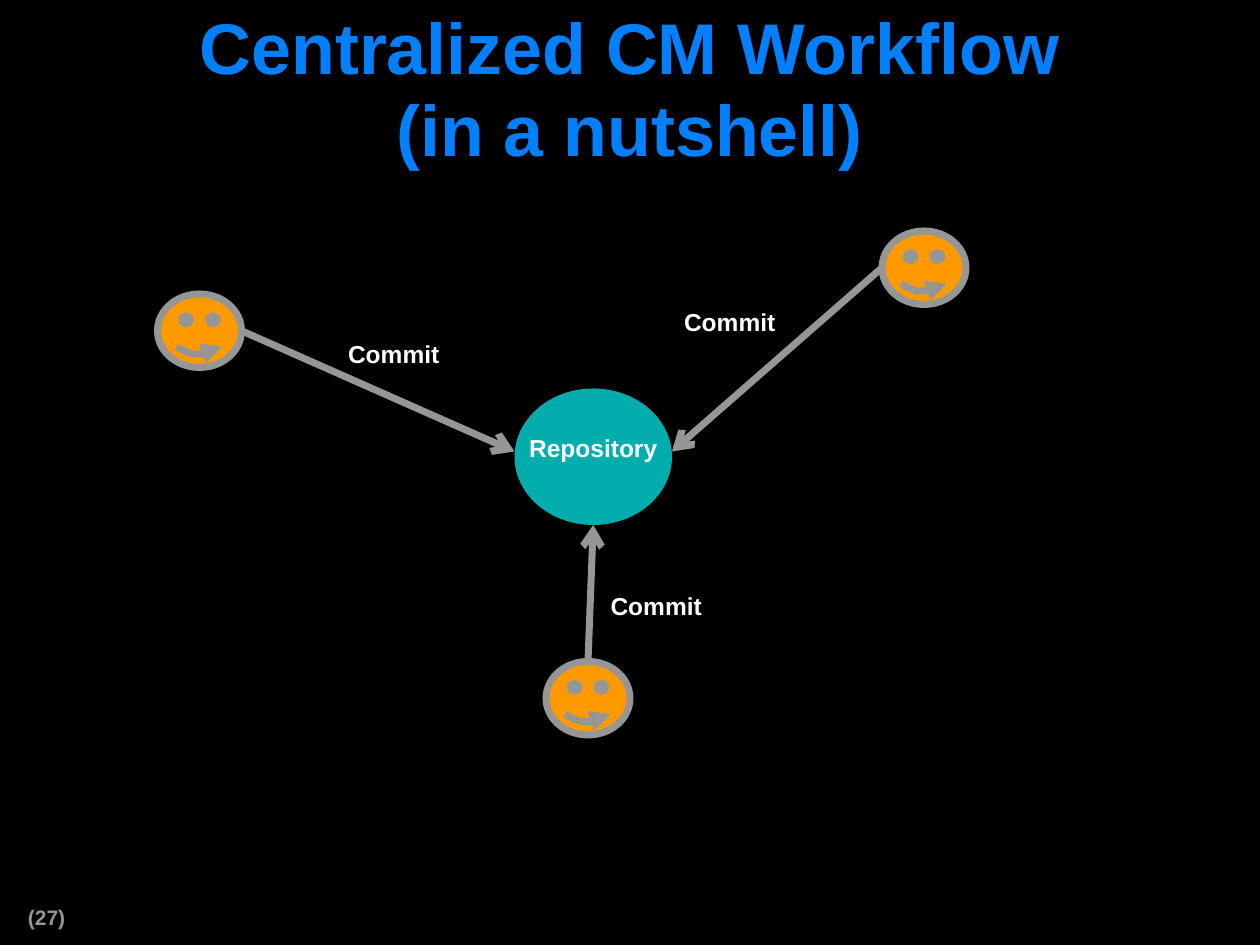
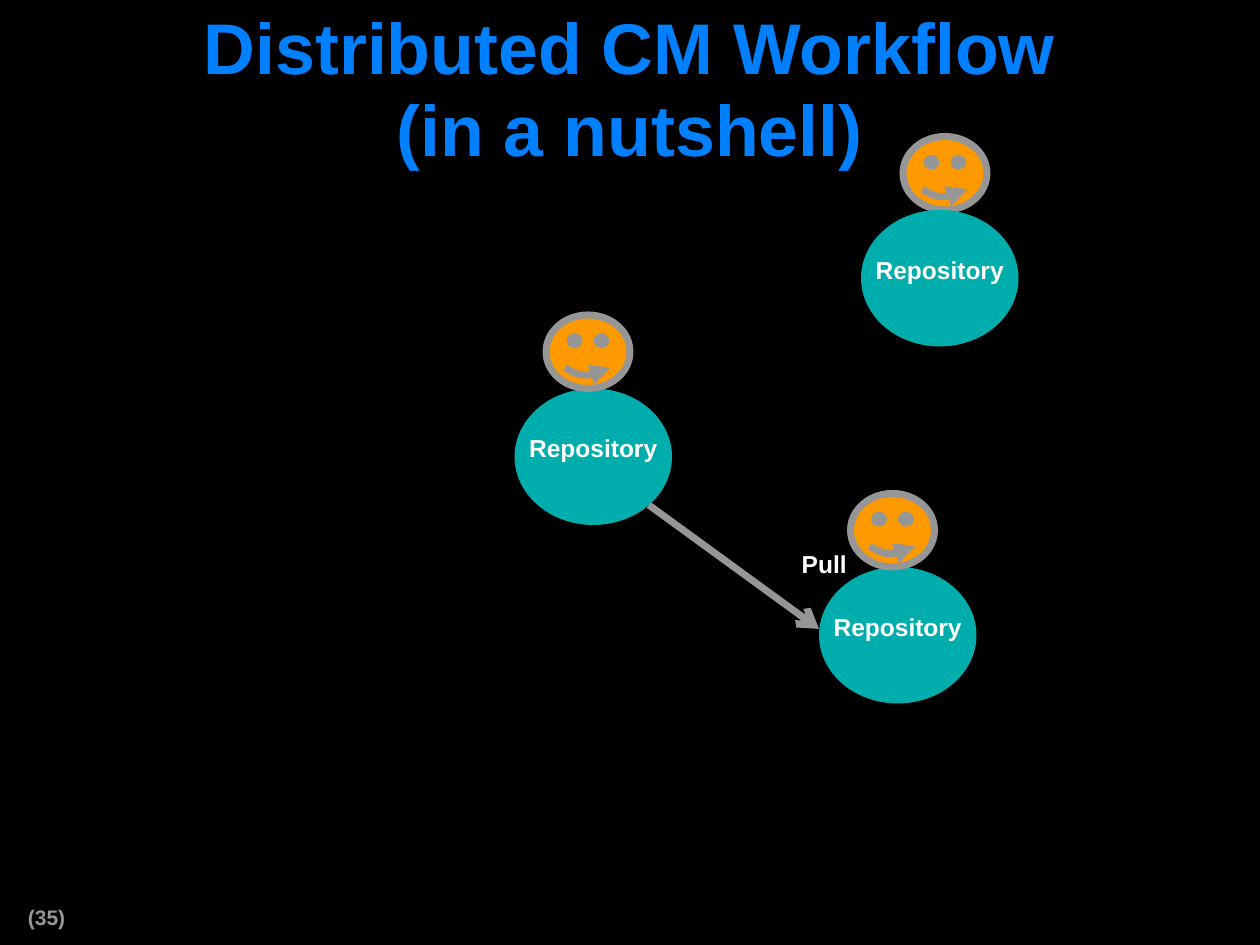
from lxml.etree import SubElement
from pptx import Presentation
from pptx.dml.color import RGBColor
from pptx.enum.shapes import MSO_CONNECTOR as Connector, MSO_SHAPE as Shape
from pptx.enum.text import MSO_ANCHOR as Anchor, PP_ALIGN as Align
from pptx.oxml.ns import qn
from pptx.util import Inches, Pt

COLORS = {
    "background": "000000",
    "title": "0080FF",
    "repository": "00ADAD",
    "face": "FF9900",
    "line": "969696",
    "label": "FFFFFF",
}
FONT = "Arial"
CELLS_PER_INCH = 12
REPOSITORY_SIZE = (15, 13)
FACE_SIZE = (8, 7)
LABEL_SIZE = (15, 3.75)
LABEL_DROP = 4
LINE_WIDTH = 4

SLIDES = [
    {
        "title": "Centralized CM Workflow\v(in a nutshell)",
        "number": "(27)",
        "parts": [
            ("repository", 49, 37),
            ("face", 84, 22),
            ("label", 62, 29, "Commit"),
            ("arrow", (84, 25.5), (64, 43)),
            ("face", 15, 28),
            ("arrow", (23, 31.5), (49, 43)),
            ("label", 30, 32, "Commit"),
            ("face", 52, 63),
            ("arrow", (56, 63), (56.5, 50)),
            ("label", 55, 56, "Commit"),
        ],
    },
    {
        "title": "Distributed CM Workflow\v(in a nutshell)",
        "number": "(35)",
        "parts": [
            ("repository", 49, 37),
            ("face", 86, 13),
            ("repository", 82, 20),
            ("label", 71, 52, "Pull"),
            ("repository", 78, 54),
            ("face", 81, 47),
            ("face", 52, 30),
            ("arrow", (61.8, 48.1), (78, 59.9)),
        ],
    },
]


def color(name):
    return RGBColor.from_string(COLORS[name])


def cells(*counts):
    return [Inches(count / CELLS_PER_INCH) for count in counts]


def add_text(page, area, text, size, color_name, spacing=0.9, anchor=Anchor.TOP):
    box = page.shapes.add_textbox(*area)
    frame = box.text_frame
    frame.word_wrap = True
    frame.vertical_anchor = anchor
    frame.text = text
    para = frame.paragraphs[0]
    para.alignment = Align.CENTER
    para.line_spacing = spacing
    for span in para.runs:
        span.font.name = FONT
        span.font.size = Pt(size)
        span.font.bold = True
        span.font.color.rgb = color(color_name)


def style_line(shape, arrowhead):
    shape.line.color.rgb = color("line")
    shape.line.width = Pt(LINE_WIDTH)
    SubElement(shape.line._get_or_add_ln(), qn("a:tailEnd"), type=arrowhead)


def add_label(page, left, top, text):
    add_text(page, cells(left, top, *LABEL_SIZE), text, 14, "label")


def add_filled(page, preset, left, top, size, color_name):
    shape = page.shapes.add_shape(preset, *cells(left, top, *size))
    shape.shadow.inherit = False
    shape.fill.solid()
    shape.fill.fore_color.rgb = color(color_name)
    return shape


def add_repository(page, left, top):
    disc = add_filled(page, Shape.OVAL, left, top, REPOSITORY_SIZE, "repository")
    disc.line.fill.background()
    add_label(page, left, top + LABEL_DROP, "Repository")


def add_face(page, left, top):
    face = add_filled(page, Shape.SMILEY_FACE, left, top, FACE_SIZE, "face")
    face.adjustments[0] = 0.093
    style_line(face, "triangle")


def add_arrow(page, start, end):
    arrow = page.shapes.add_connector(Connector.STRAIGHT, *cells(*start, *end))
    style_line(arrow, "arrow")
    SubElement(arrow._element.spPr, qn("a:effectLst"))


BUILDERS = {
    "repository": add_repository,
    "face": add_face,
    "label": add_label,
    "arrow": add_arrow,
}


def add_page(deck, content):
    page = deck.slides.add_slide(deck.slide_layouts[6])
    page.background.fill.solid()
    page.background.fill.fore_color.rgb = color("background")
    number_area = [Inches(n) for n in (-0.21, 7.15, 1.16, 0.28)]
    add_text(page, number_area, content["number"], 12, "line")
    title_area = (0, Inches(0.25), deck.slide_width, Inches(0.94))
    add_text(page, title_area, content["title"], 41, "title", 0.95, Anchor.MIDDLE)
    for kind, *details in content["parts"]:
        BUILDERS[kind](page, *details)


def main():
    deck = Presentation()
    deck.slide_width, deck.slide_height = Inches(10), Inches(7.5)
    for content in SLIDES:
        add_page(deck, content)
    deck.save("out.pptx")


if __name__ == "__main__":
    main()
